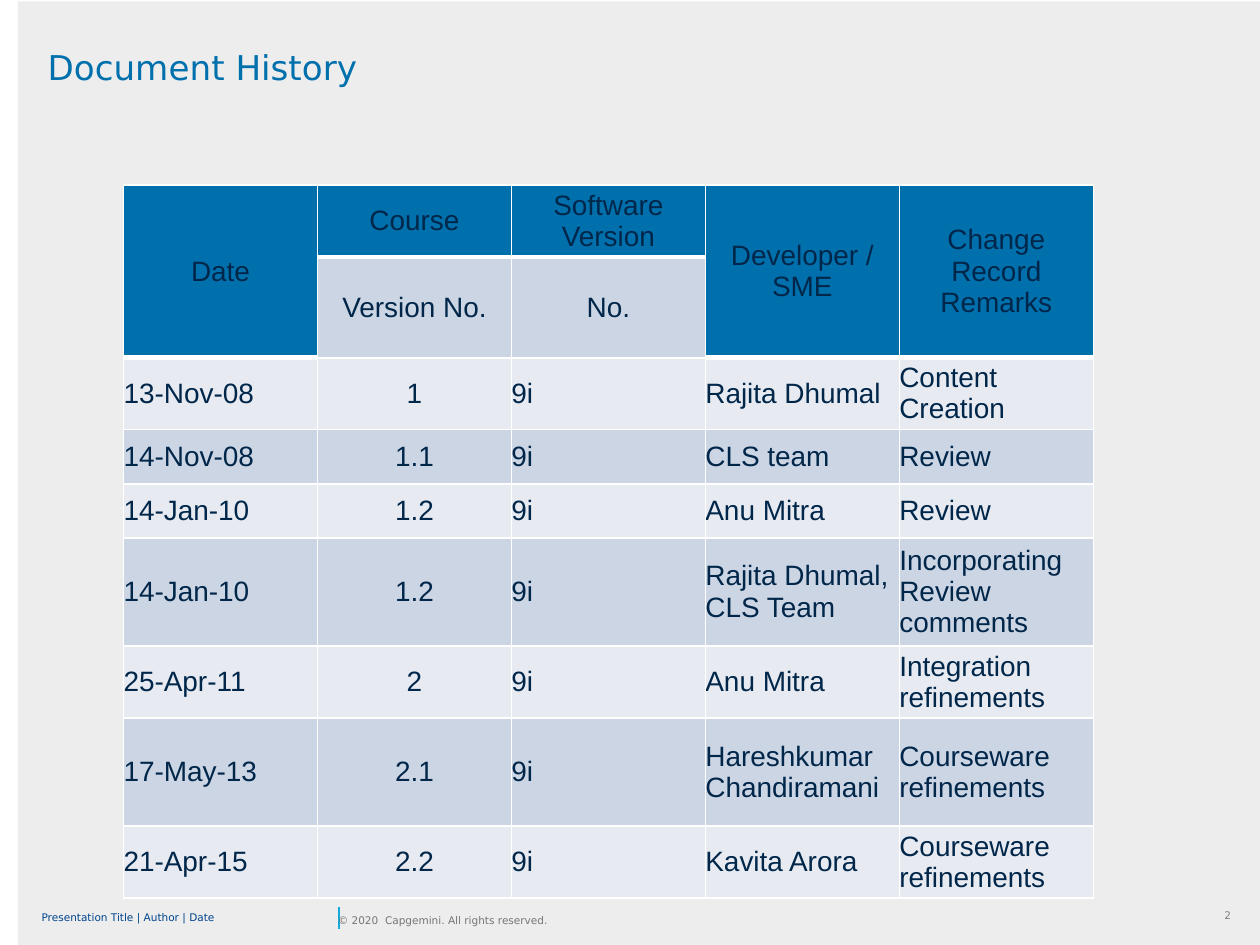
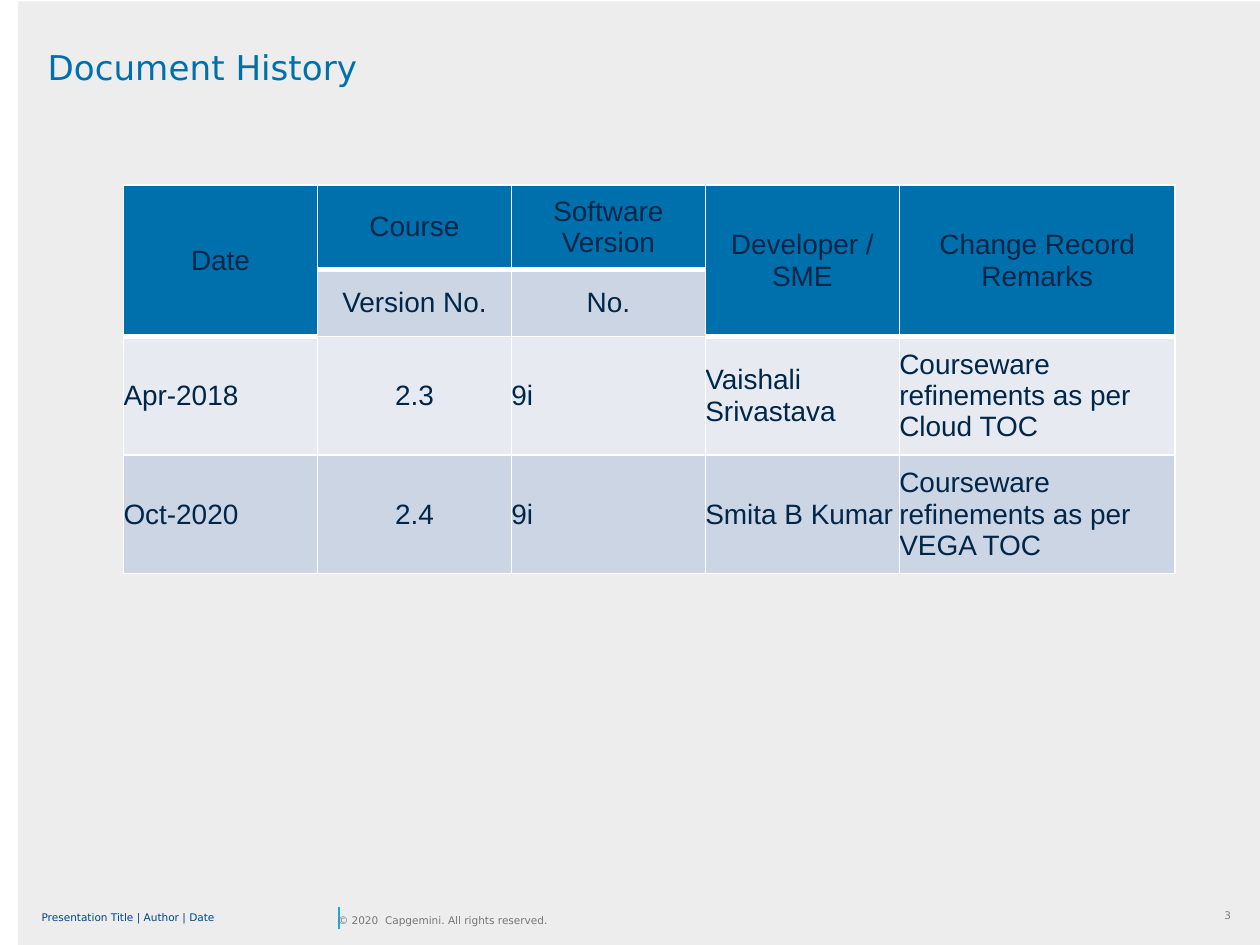
from dataclasses import dataclass

from lxml.etree import SubElement
from pptx import Presentation
from pptx.dml.color import RGBColor
from pptx.enum.shapes import MSO_CONNECTOR, MSO_SHAPE
from pptx.enum.text import MSO_ANCHOR, MSO_AUTO_SIZE, PP_ALIGN
from pptx.oxml.ns import qn
from pptx.util import Cm, Pt


@dataclass(frozen=True)
class Theme:
    backdrop: str = "EDEDED"
    heading: str = "0070AD"
    accent: str = "12ABDB"
    footer: str = "00458D"
    copyright: str = "767676"
    number: str = "808080"
    cell_text: str = "00264A"
    light_row: str = "E7EBF1"
    dark_row: str = "CCD5E3"
    border: str = "FFFFFF"
    display_font: str = "DejaVu Sans"
    table_font: str = "Arial"
    title_size: float = 19.5
    table_size: float = 16
    footer_size: float = 6
    thin: float = 1
    thick: float = 3


THEME = Theme()
SLIDE_WIDTH, SLIDE_HEIGHT = 25.4, 19.05
TABLE_LEFT, TABLE_TOP = 2.49, 3.73
COLUMN = 3.91
CENTRED_COLUMN = 1
MERGED_COLUMNS = (0, 3, 4)

HEADINGS = [
    ("Date", "Course", "Software Version", "Developer / SME", "Change Record Remarks"),
    ("", "Version No.", "No.", "", ""),
]
EARLY_CHANGES = [
    ("13-Nov-08", "1", "9i", "Rajita Dhumal", "Content Creation"),
    ("14-Nov-08", "1.1", "9i", "CLS team", "Review"),
    ("14-Jan-10", "1.2", "9i", "Anu Mitra", "Review"),
    ("14-Jan-10", "1.2", "9i", "Rajita Dhumal, CLS Team", "Incorporating Review comments"),
    ("25-Apr-11", "2", "9i", "Anu Mitra", "Integration refinements"),
    ("17-May-13", "2.1", "9i", "Hareshkumar Chandiramani", "Courseware refinements"),
    ("21-Apr-15", "2.2", "9i", "Kavita Arora", "Courseware refinements"),
]
LATE_CHANGES = [
    ("Apr-2018", "2.3", "9i", "Vaishali Srivastava", "Courseware refinements as per Cloud TOC"),
    ("Oct-2020", "2.4", "9i", "Smita B Kumar", "Courseware refinements as per VEGA TOC"),
]


def colour(code):
    return RGBColor.from_string(code)


def add_span(para, text, font, size, code):
    span = para.add_run()
    span.text = text
    span.font.name = font
    span.font.size = Pt(size)
    span.font.color.rgb = colour(code)


def clear_margins(target):
    target.margin_left = target.margin_right = 0
    target.margin_top = target.margin_bottom = 0


def add_label(page, place, text, size, code, spacing=None, tight=True, wrap=True):
    box = page.shapes.add_textbox(*map(Cm, place))
    frame = box.text_frame
    frame.word_wrap = wrap
    if tight:
        clear_margins(frame)
        frame.vertical_anchor = MSO_ANCHOR.MIDDLE
    para = frame.paragraphs[0]
    para.line_spacing = spacing
    add_span(para, text, THEME.display_font, size, code)
    return frame


# Shared page parts
def add_backdrop(page):
    left, top = 0.36, 0.03
    backdrop = page.shapes.add_shape(
        MSO_SHAPE.RECTANGLE, Cm(left), Cm(top),
        Cm(SLIDE_WIDTH - left), Cm(SLIDE_HEIGHT - top))
    backdrop.shadow.inherit = False
    backdrop.fill.solid()
    backdrop.fill.fore_color.rgb = colour(THEME.backdrop)
    backdrop.line.fill.background()


def add_footer(page, number):
    size = THEME.footer_size
    frame = add_label(page, (24.18, 18.21, 0.89, 0.51), str(number), size,
                      THEME.number, tight=False, wrap=False)
    frame.auto_size = MSO_AUTO_SIZE.SHAPE_TO_FIT_TEXT
    frame.paragraphs[0].alignment = PP_ALIGN.RIGHT

    divider = page.shapes.add_connector(
        MSO_CONNECTOR.STRAIGHT, Cm(6.83), Cm(18.72), Cm(6.83), Cm(18.29))
    divider.line.color.rgb = colour(THEME.accent)
    divider.line.width = Pt(THEME.thin)
    SubElement(divider.element.spPr, qn("a:effectLst"))

    add_label(page, (0.84, 18.21, 5.89, 0.61), "Presentation Title | Author | Date",
              size, THEME.footer, spacing=0.85)
    add_label(page, (6.81, 18.29, 5.89, 0.51), "© 2020  Capgemini. All rights reserved.",
              size, THEME.copyright, wrap=False)


def add_title(page, text):
    add_label(page, (0.71, 0.91, SLIDE_WIDTH - 0.71, 2.79), text,
              THEME.title_size, THEME.heading, spacing=0.9, tight=False)


# Change history table
def is_heading(row, column):
    return row == 0 or (row == 1 and column in MERGED_COLUMNS)


def set_borders(cell, top, bottom):
    properties = cell._tc.get_or_add_tcPr()
    widths = {"lnL": THEME.thin, "lnR": THEME.thin, "lnT": top, "lnB": bottom}
    for side, width in widths.items():
        line = SubElement(properties, qn(f"a:{side}"), w=str(Pt(width)))
        fill = SubElement(line, qn("a:solidFill"))
        SubElement(fill, qn("a:srgbClr"), val=THEME.border)


def style_cell(cell, row, column, text):
    heading = is_heading(row, column)
    below_heading = row > 0 and not heading and is_heading(row - 1, column)
    set_borders(cell, THEME.thick if below_heading else THEME.thin,
                THEME.thick if heading else THEME.thin)
    band = THEME.dark_row if row % 2 else THEME.light_row
    cell.fill.solid()
    cell.fill.fore_color.rgb = colour(THEME.heading if heading else band)
    clear_margins(cell)
    cell.vertical_anchor = MSO_ANCHOR.MIDDLE
    if text:
        para = cell.text_frame.paragraphs[0]
        centred = row < len(HEADINGS) or column == CENTRED_COLUMN
        para.alignment = PP_ALIGN.CENTER if centred else PP_ALIGN.LEFT
        add_span(para, text, THEME.table_font, THEME.table_size, THEME.cell_text)


def add_history_table(page, changes, widths, heights):
    rows = HEADINGS + changes
    table = page.shapes.add_table(
        len(rows), len(widths), Cm(TABLE_LEFT), Cm(TABLE_TOP),
        Cm(sum(widths)), Cm(sum(heights))).table
    table.first_row = table.horz_banding = False
    for column, width in zip(table.columns, widths):
        column.width = Cm(width)
    for row, height in zip(table.rows, heights):
        row.height = Cm(height)
    for row, texts in enumerate(rows):
        for column, text in enumerate(texts):
            style_cell(table.cell(row, column), row, column, text)
    for column in MERGED_COLUMNS:
        table.cell(0, column).merge(table.cell(1, column))


def add_history_page(deck, number, changes, widths, heights):
    page = deck.slides.add_slide(deck.slide_layouts[6])
    add_backdrop(page)
    add_footer(page, number)
    add_history_table(page, changes, widths, heights)
    add_title(page, "Document History")


def main():
    deck = Presentation()
    deck.slide_width, deck.slide_height = Cm(SLIDE_WIDTH), Cm(SLIDE_HEIGHT)

    # Row heights follow the number of text lines
    one, two, three = 1.09, 1.45, 2.18
    add_history_page(deck, 2, EARLY_CHANGES, [COLUMN] * 5,
                     [two, 2.01, two, one, one, three, two, three, two])
    add_history_page(deck, 3, LATE_CHANGES, [COLUMN] * 4 + [5.56],
                     [1.7, 1.3, 2.39, 2.39])
    deck.save("out.pptx")


if __name__ == "__main__":
    main()
